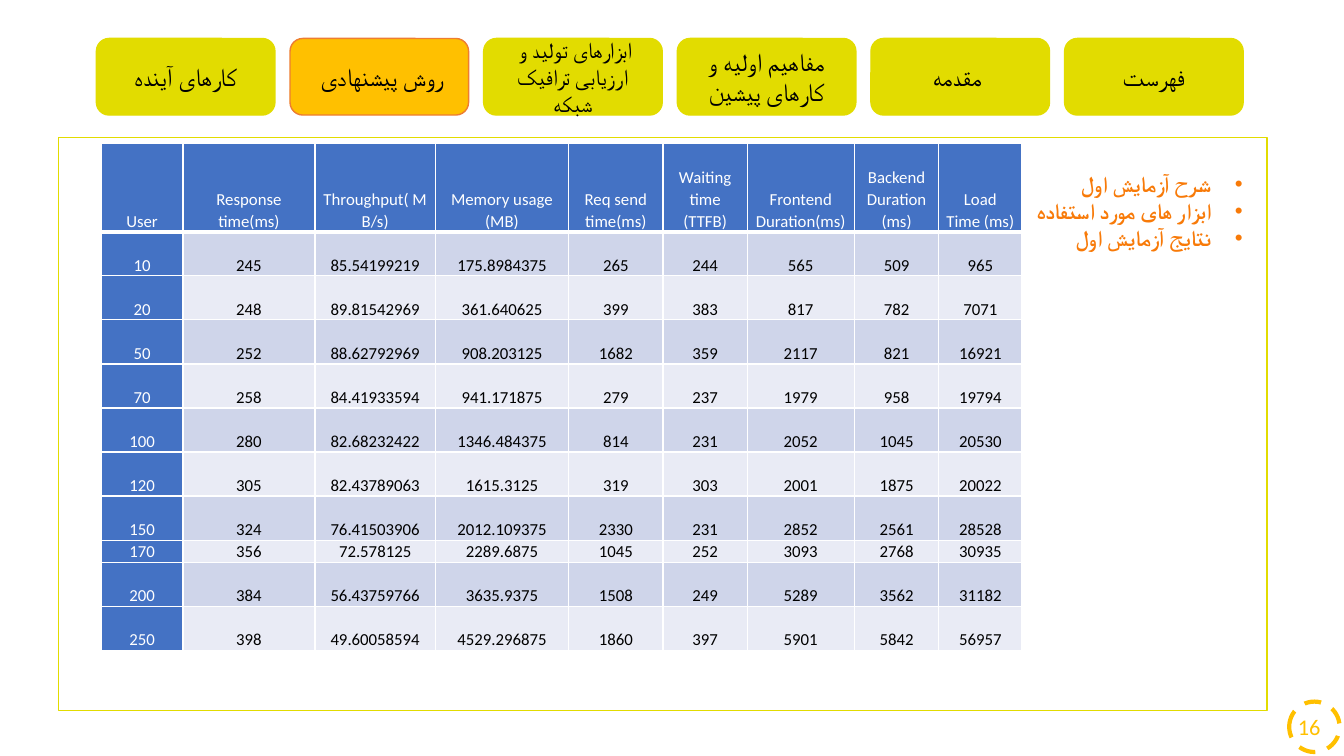
import pptx
import pptx.util
import pptx.dml.color
import pptx.enum.dml
import pptx.enum.shapes
import pptx.enum.text
import pptx.oxml
import lxml.etree

Cm = pptx.util.Cm
Pt = pptx.util.Pt
SHAPE = pptx.enum.shapes.MSO_SHAPE
ALIGN = pptx.enum.text.PP_ALIGN
ANCHOR = pptx.enum.text.MSO_ANCHOR
DRAWING = "{http://schemas.openxmlformats.org/drawingml/2006/main}"


def color(hex_value):
    return pptx.dml.color.RGBColor.from_string(hex_value)


def write(paragraph, text, font_name, size, hex_value, bold=False):
    run = paragraph.add_run()
    run.text = text
    for name, value in {"name": font_name, "size": Pt(size), "bold": bold}.items():
        setattr(run.font, name, value)
    run.font.color.rgb = color(hex_value)
    complex_font = lxml.etree.SubElement(run.font._element, DRAWING + "cs")
    complex_font.set("typeface", font_name)


presentation = pptx.Presentation()
presentation.slide_width = Cm(33.87)
presentation.slide_height = Cm(19.05)
slide = presentation.slides.add_slide(presentation.slide_layouts[6])

YELLOW, AMBER = "E2DC00", "FFC000"
tab_labels = [
    ("کارهای آینده", 18),
    (" روش پیشنهادی", 18),
    (" ابزارهای تولید و ارزیابی ترافیک شبکه", 16),
    ("مفاهیم اولیه و کارهای پیشین", 18),
    ("مقدمه ", 18),
    ("فهرست", 18),
]
current_tab = 1

blocks = [
    (SHAPE.OVAL, 32.49, 17.68, 1.27, 1.27, None, AMBER, 3, True, None),
    (SHAPE.RECTANGLE, 1.47, 3.46, 30.46, 14.45, "FFFFFF", YELLOW, 1, False, None),
    (SHAPE.RECTANGLE, 1.7, 3.61, 29.97, 13.64, "FFFFFF", "FFFFFF", 1.5, True, None),
]
for index, label in enumerate(tab_labels):
    fill, line = (AMBER, "ED7D31") if index == current_tab else (YELLOW, YELLOW)
    blocks.append((SHAPE.ROUNDED_RECTANGLE, 2.43 + 4.88 * index, 0.97, 4.5, 1.93,
                   fill, line, 1, False, label))

for kind, left, top, width, height, fill, line, weight, dashed, label in blocks:
    shape = slide.shapes.add_shape(kind, Cm(left), Cm(top), Cm(width), Cm(height))
    shape.shadow.inherit = False
    if fill:
        shape.fill.solid()
        shape.fill.fore_color.rgb = color(fill)
    else:
        shape.fill.background()
    shape.line.color.rgb = color(line)
    shape.line.width = Pt(weight)
    if dashed:
        shape.line.dash_style = pptx.enum.dml.MSO_LINE.DASH
    if label:
        shape.text_frame.word_wrap = True
        shape.text_frame.vertical_anchor = ANCHOR.MIDDLE
        paragraph = shape.text_frame.paragraphs[0]
        paragraph.alignment = ALIGN.CENTER
        write(paragraph, label[0], "Calibri", label[1], "000000")

page_number = slide.shapes.add_textbox(Cm(25.91), Cm(17.81), Cm(7.62), Cm(1.02))
page_number.text_frame.word_wrap = True
page_number.text_frame.vertical_anchor = ANCHOR.MIDDLE
paragraph = page_number.text_frame.paragraphs[0]
paragraph.alignment = ALIGN.RIGHT
write(paragraph, "16", "Calibri", 16, AMBER)

results = [
    ["User", "Response time(ms)", "Throughput( MB/s)", "Memory usage (MB)", "Req send time(ms)",
     "Waiting time (TTFB)", "Frontend Duration(ms)", "Backend Duration (ms)", "Load Time (ms)"],
    [10, 245, 85.54199219, 175.8984375, 265, 244, 565, 509, 965],
    [20, 248, 89.81542969, 361.640625, 399, 383, 817, 782, 7071],
    [50, 252, 88.62792969, 908.203125, 1682, 359, 2117, 821, 16921],
    [70, 258, 84.41933594, 941.171875, 279, 237, 1979, 958, 19794],
    [100, 280, 82.68232422, 1346.484375, 814, 231, 2052, 1045, 20530],
    [120, 305, 82.43789063, 1615.3125, 319, 303, 2001, 1875, 20022],
    [150, 324, 76.41503906, 2012.109375, 2330, 231, 2852, 2561, 28528],
    [170, 356, 72.578125, 2289.6875, 1045, 252, 3093, 2768, 30935],
    [200, 384, 56.43759766, 3635.9375, 1508, 249, 5289, 3562, 31182],
    [250, 398, 49.60058594, 4529.296875, 1860, 397, 5901, 5842, 56957],
]
column_widths = [2.06, 3.33, 3.03, 3.36, 2.38, 2.12, 2.7, 2.13, 2.09]
row_heights = [2.23] + [1.11] * 7 + [0.56] + [1.11] * 2
cell_format = {
    "vertical_anchor": ANCHOR.BOTTOM,
    "margin_left": Cm(0.16),
    "margin_right": Cm(0.16),
    "margin_top": 0,
    "margin_bottom": 0,
}

table = slide.shapes.add_table(
    len(results), len(column_widths), Cm(2.55), Cm(3.61),
    Cm(sum(column_widths)), Cm(sum(row_heights))).table
for column, width in zip(table.columns, column_widths):
    column.width = Cm(width)
for row, height in zip(table.rows, row_heights):
    row.height = Cm(height)

for row_index, values in enumerate(results):
    for column_index, value in enumerate(values):
        cell = table.cell(row_index, column_index)
        for name, setting in cell_format.items():
            setattr(cell, name, setting)
        properties = cell._tc.get_or_add_tcPr()
        for side in ("lnL", "lnR", "lnT", "lnB"):
            weight = 3 if row_index == 0 and side == "lnB" else 1
            border = lxml.etree.SubElement(properties, DRAWING + side, w=str(Pt(weight)))
            border_fill = lxml.etree.SubElement(border, DRAWING + "solidFill")
            lxml.etree.SubElement(border_fill, DRAWING + "srgbClr", val="FFFFFF")
        is_heading = row_index == 0 or column_index == 0
        band = "CFD5EA" if row_index % 2 else "E9EBF5"
        cell.fill.solid()
        cell.fill.fore_color.rgb = color("4472C4" if is_heading else band)
        paragraph = cell.text_frame.paragraphs[0]
        paragraph.alignment = ALIGN.CENTER
        paragraph.line_spacing = 1.07
        write(paragraph, str(value), "Calibri", 12, "FFFFFF" if is_heading else "000000")

topics = ["شرح آزمایش اول", "ابزار های مورد استفاده ", "نتایج آزمایش اول"]
topic_list = slide.shapes.add_textbox(Cm(25.76), Cm(4.29), Cm(5.56), Cm(2.06))
frame_format = {
    "word_wrap": True,
    "auto_size": pptx.enum.text.MSO_AUTO_SIZE.SHAPE_TO_FIT_TEXT,
    "margin_left": 0,
    "margin_right": 0,
    "margin_top": 0,
    "margin_bottom": 0,
}
for name, setting in frame_format.items():
    setattr(topic_list.text_frame, name, setting)
for index, topic in enumerate(topics):
    frame = topic_list.text_frame
    paragraph = frame.add_paragraph() if index else frame.paragraphs[0]
    paragraph.alignment = ALIGN.RIGHT
    properties = paragraph._p.get_or_add_pPr()
    indent = Cm(0.79)
    for name, setting in {"marR": 0, "marL": indent, "indent": -indent, "rtl": 1}.items():
        properties.set(name, str(int(setting)))
    lxml.etree.SubElement(properties, DRAWING + "buFont", typeface="Arial")
    lxml.etree.SubElement(properties, DRAWING + "buChar", char="•")
    write(paragraph, topic, "Noto Sans CJK SC", 16, "F87A08", True)

presentation.save("out.pptx")
